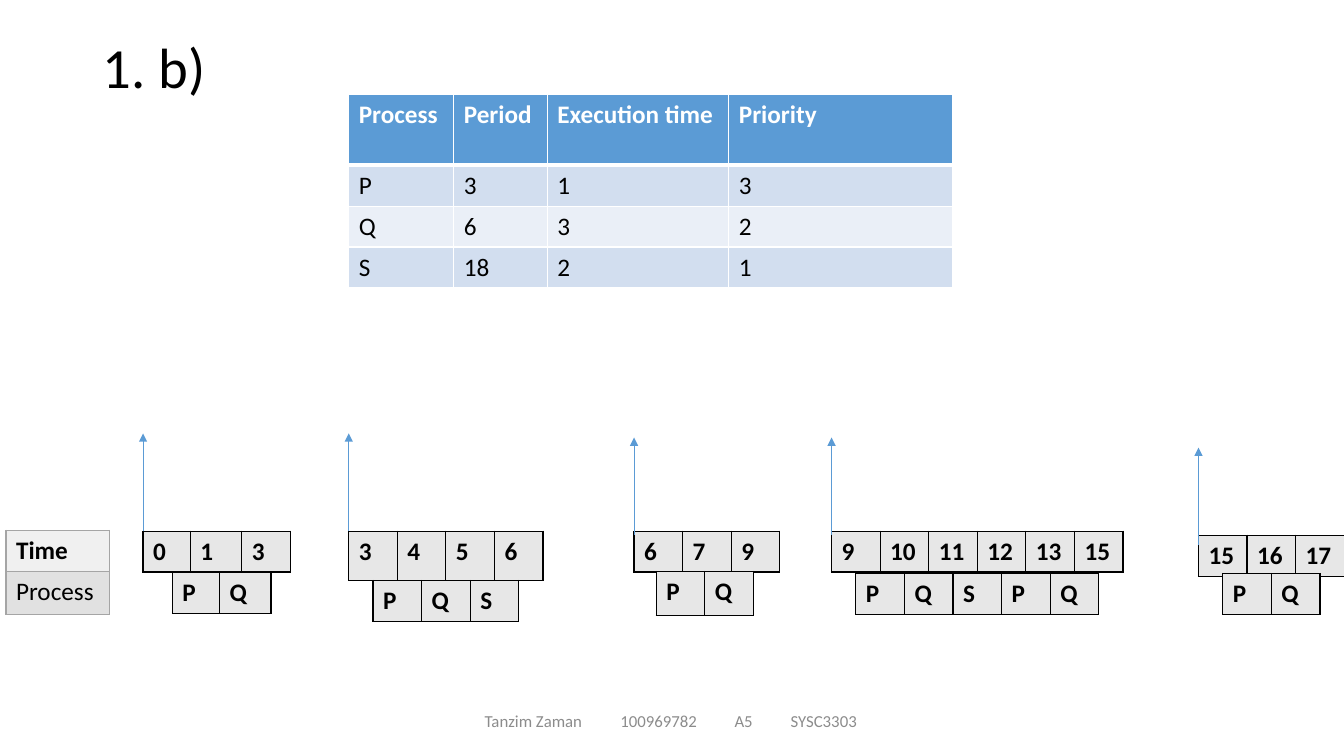
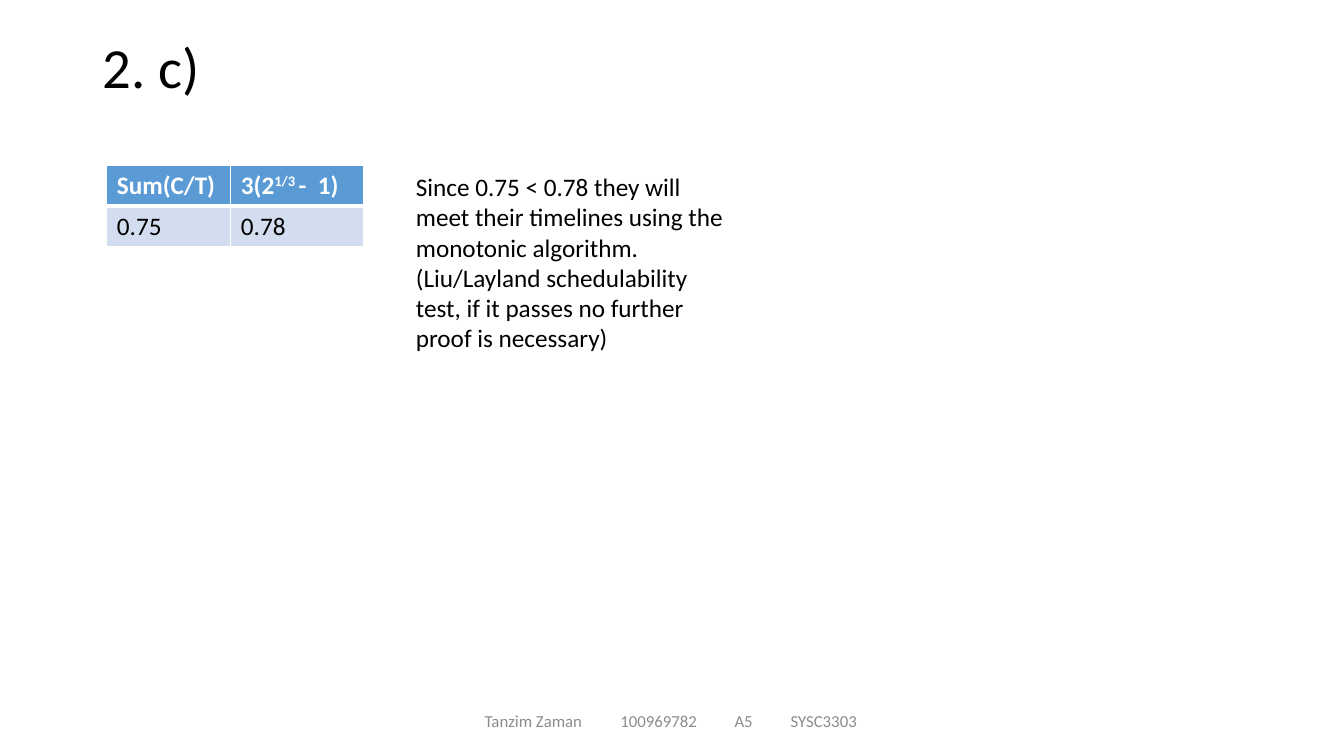
from dataclasses import dataclass
from itertools import product
from typing import NamedTuple, Optional

from lxml import etree
from pptx import Presentation
from pptx.dml.color import RGBColor
from pptx.enum import shapes, text as text_enum
from pptx.oxml import ns
from pptx.util import Pt

WHITE = RGBColor(0xFF, 0xFF, 0xFF)
BLACK = RGBColor(0x00, 0x00, 0x00)
BLUE = RGBColor(0x5B, 0x9B, 0xD5)
BAND_DARK = RGBColor(0xD2, 0xDE, 0xEF)
BAND_LIGHT = RGBColor(0xEA, 0xEF, 0xF7)
SLOT_GREY = RGBColor(0xE7, 0xE7, 0xE7)
KEY_LIGHT = RGBColor(0xF0, 0xF0, 0xF0)
KEY_DARK = RGBColor(0xE1, 0xE1, 0xE1)
KEY_BORDER = RGBColor(0xA5, 0xA5, 0xA5)
FOOTER_GREY = RGBColor(0x8C, 0x8C, 0x8C)

FONT = "Calibri"
TITLE_ONLY = 5
SLOT = 34.7
ROW = 29.2
ARROW_HEIGHT = 69.8
FOOTER = ("Tanzim Zaman", "100969782", "A5", "SYSC3303")
FOOTER_TABS = (97, 178.5, 218.5)


class Span(NamedTuple):
    text: str
    raised: bool = False


@dataclass(frozen=True)
class RowStyle:
    fill: RGBColor
    color: RGBColor = BLACK
    bold: bool = False


@dataclass(frozen=True)
class Grid:
    left: float
    top: float
    widths: tuple
    heights: tuple
    rows: tuple
    styles: tuple
    border: RGBColor
    header_rule: float = 1


@dataclass(frozen=True)
class Timeline:
    left: float
    times: str
    processes: str
    process_top: float
    top: float = 379.4
    time_height: float = ROW
    process_height: float = ROW
    process_offset: float = SLOT / 2
    arrow_bottom: float = 382.3
    widths: Optional[tuple] = None


HEADER = RowStyle(BLUE, WHITE, True)
DARK_ROW = RowStyle(BAND_DARK)
LIGHT_ROW = RowStyle(BAND_LIGHT)
SLOT_ROW = RowStyle(SLOT_GREY, bold=True)

PROCESS_TABLE = Grid(
    249.1, 67.7, (75, 66.9, 129.6, 160), (50.4, ROW, ROW, ROW),
    (
        ("Process", "Period", "Execution time", "Priority"),
        ("P", "3", "1", "3"),
        ("Q", "6", "3", "2"),
        ("S", "18", "2", "1"),
    ),
    (HEADER, DARK_ROW, LIGHT_ROW, DARK_ROW), WHITE, 3,
)
KEY_TABLE = Grid(
    4.3, 378.9, (74.2,), (ROW, 31), (("Time",), ("Process",)),
    (RowStyle(KEY_LIGHT, bold=True), RowStyle(KEY_DARK)), KEY_BORDER,
)
BOUND_TABLE = Grid(
    76.3, 118.1, (88.6, 95), (ROW, ROW),
    (
        ("Sum(C/T)", (Span("3(2"), Span("1/3 ", True), Span("-  1)"))),
        ("0.75", "0.78"),
    ),
    (HEADER, DARK_ROW), WHITE, 3,
)
TIMELINES = (
    Timeline(102.2, "0 1 3", "P Q", 409, process_offset=20.9,
             arrow_bottom=379.4, widths=(33.8, 36.7, 34.6)),
    Timeline(249.1, "3 4 5 6", "P Q S", 414.7, time_height=35.3,
             arrow_bottom=379.4),
    Timeline(452.9, "6 7 9", "P Q", 408.2, process_height=31.7,
             process_offset=15.8),
    Timeline(594, "9 10 11 12 13 15", "P Q S P Q", 409.7),
    Timeline(856.1, "15 16 17", "P Q", 409.7, top=382.3, arrow_bottom=389.5),
)
CONCLUSION = (
    "Since 0.75 < 0.78 they will meet their timelines using the monotonic "
    "algorithm. (Liu/Layland schedulability test, if it passes no further "
    "proof is necessary)"
)


def write(para, text: str, *, size: float = 18, color: RGBColor = BLACK,
          bold: bool = False, raised: bool = False) -> None:
    run = para.add_run()
    run.text = text
    run.font.name = FONT
    run.font.size = Pt(size)
    run.font.bold = bold
    run.font.color.rgb = color
    if raised:
        run.font._element.set("baseline", "30000")


def set_borders(cell, color: RGBColor, top: float, bottom: float) -> None:
    properties = cell._tc.get_or_add_tcPr()
    sides = (("L", 1), ("R", 1), ("T", top), ("B", bottom))
    for index, (side, width) in enumerate(sides):
        line = etree.Element(ns.qn(f"a:ln{side}"), w=str(Pt(width)))
        fill = etree.SubElement(line, ns.qn("a:solidFill"))
        etree.SubElement(fill, ns.qn("a:srgbClr"), val=str(color))
        properties.insert(index, line)


def draw_grid(page, grid: Grid) -> None:
    table = page.shapes.add_table(
        len(grid.heights), len(grid.widths), Pt(grid.left), Pt(grid.top),
        Pt(sum(grid.widths)), Pt(sum(grid.heights)),
    ).table
    table.first_row = False
    table.horz_banding = False
    for column, width in zip(table.columns, grid.widths):
        column.width = Pt(width)
    for row, height in zip(table.rows, grid.heights):
        row.height = Pt(height)
    for r, c in product(range(len(grid.heights)), range(len(grid.widths))):
        cell, style, content = table.cell(r, c), grid.styles[r], grid.rows[r][c]
        cell.fill.solid()
        cell.fill.fore_color.rgb = style.fill
        set_borders(cell, grid.border,
                    top=grid.header_rule if r == 1 else 1,
                    bottom=grid.header_rule if r == 0 else 1)
        spans = (Span(content),) if isinstance(content, str) else content
        for span in spans:
            write(cell.text_frame.paragraphs[0], span.text, raised=span.raised,
                  color=style.color, bold=style.bold)


def draw_slots(page, left: float, top: float, height: float,
               labels: list, widths: Optional[tuple]) -> None:
    slots = (widths or (SLOT,) * len(labels))[:len(labels)]
    draw_grid(page, Grid(left, top, slots, (height,), (tuple(labels),),
                         (SLOT_ROW,), BLACK))


def draw_arrow(page, left: float, bottom: float) -> None:
    arrow = page.shapes.add_connector(
        shapes.MSO_CONNECTOR.STRAIGHT,
        Pt(left), Pt(bottom), Pt(left), Pt(bottom - ARROW_HEIGHT))
    arrow.line.color.rgb = BLUE
    arrow.line.width = Pt(0.5)
    etree.SubElement(arrow.line._get_or_add_ln(), ns.qn("a:tailEnd"),
                     type="triangle")
    etree.SubElement(arrow._element.spPr, ns.qn("a:effectLst"))


def draw_timeline(page, timeline: Timeline) -> None:
    draw_slots(page, timeline.left, timeline.top, timeline.time_height,
               timeline.times.split(), timeline.widths)
    draw_slots(page, timeline.left + timeline.process_offset,
               timeline.process_top, timeline.process_height,
               timeline.processes.split(), timeline.widths)
    draw_arrow(page, timeline.left, timeline.arrow_bottom)


def add_box(page, left: float, top: float, width: float, height: float):
    box = page.shapes.add_textbox(Pt(left), Pt(top), Pt(width), Pt(height))
    box.text_frame.word_wrap = True
    return box.text_frame


def draw_footer(page) -> None:
    frame = add_box(page, 318.2, 500.5, 324, 28.8)
    frame.margin_left = Pt(28)
    frame.vertical_anchor = text_enum.MSO_ANCHOR.MIDDLE
    para = frame.paragraphs[0]
    tabs = etree.SubElement(para._p.get_or_add_pPr(), ns.qn("a:tabLst"))
    for position in FOOTER_TABS:
        etree.SubElement(tabs, ns.qn("a:tab"), pos=str(Pt(position)), algn="l")
    write(para, "\t".join(FOOTER), size=12, color=FOOTER_GREY)


def add_page(deck, title: str):
    page = deck.slides.add_slide(deck.slide_layouts[TITLE_ONLY])
    box = page.shapes.title
    box.left, box.top, box.width, box.height = Pt(66), Pt(29), Pt(828), Pt(44.5)
    frame = box.text_frame
    frame.auto_size = text_enum.MSO_AUTO_SIZE.NONE
    frame.vertical_anchor = text_enum.MSO_ANCHOR.BOTTOM
    para = frame.paragraphs[0]
    para.alignment = text_enum.PP_ALIGN.LEFT
    para.line_spacing = 0.7
    write(para, title, size=40.5)
    draw_footer(page)
    return page


def main() -> None:
    deck = Presentation()
    deck.slide_width, deck.slide_height = Pt(960), Pt(540)

    schedule = add_page(deck, "1. b)")
    draw_grid(schedule, PROCESS_TABLE)
    draw_grid(schedule, KEY_TABLE)
    for timeline in TIMELINES:
        draw_timeline(schedule, timeline)

    test = add_page(deck, "2. c)")
    draw_grid(test, BOUND_TABLE)
    frame = add_box(test, 290, 119, 243.5, 138.5)
    frame.auto_size = text_enum.MSO_AUTO_SIZE.SHAPE_TO_FIT_TEXT
    write(frame.paragraphs[0], CONCLUSION)

    deck.save("out.pptx")


if __name__ == "__main__":
    main()
